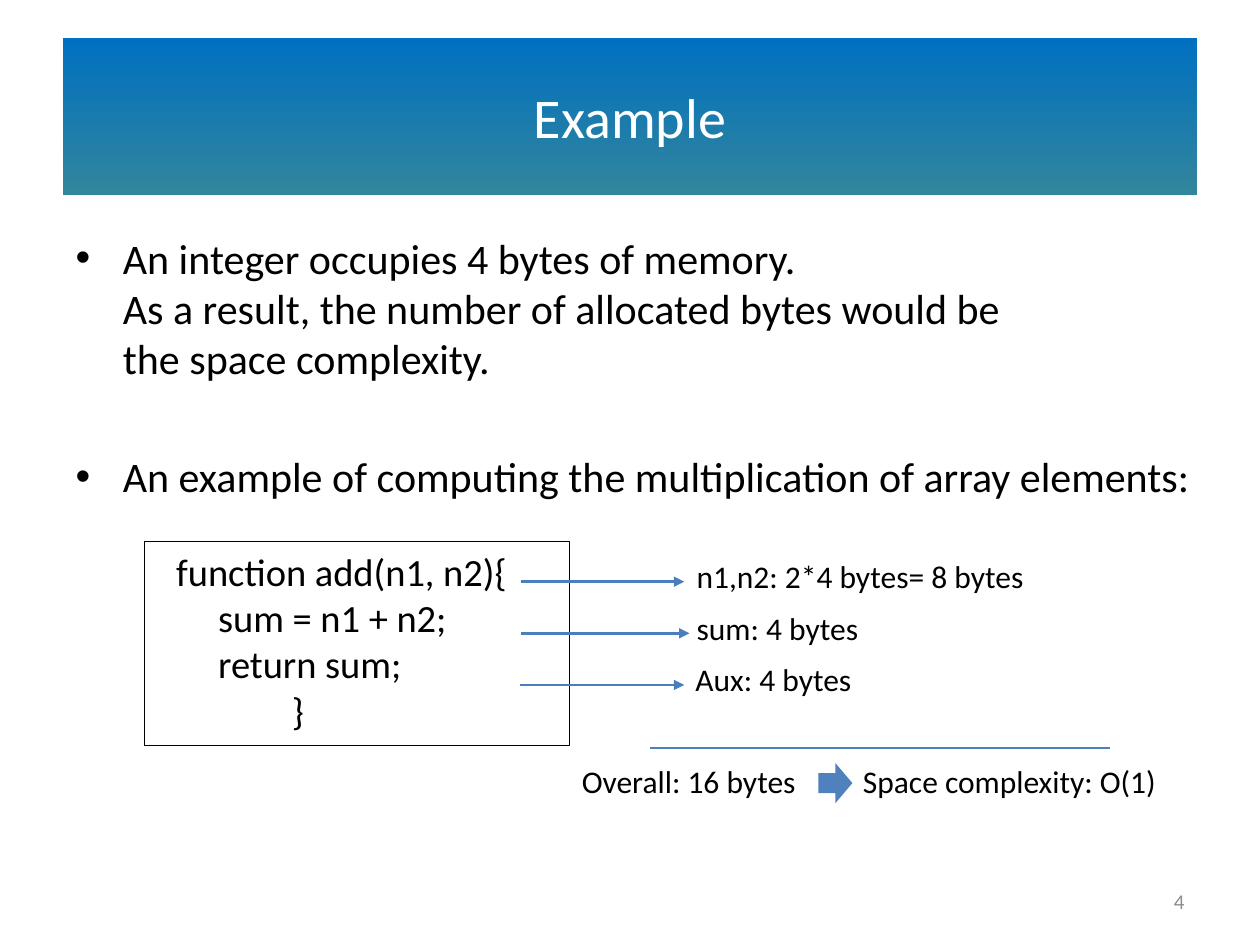
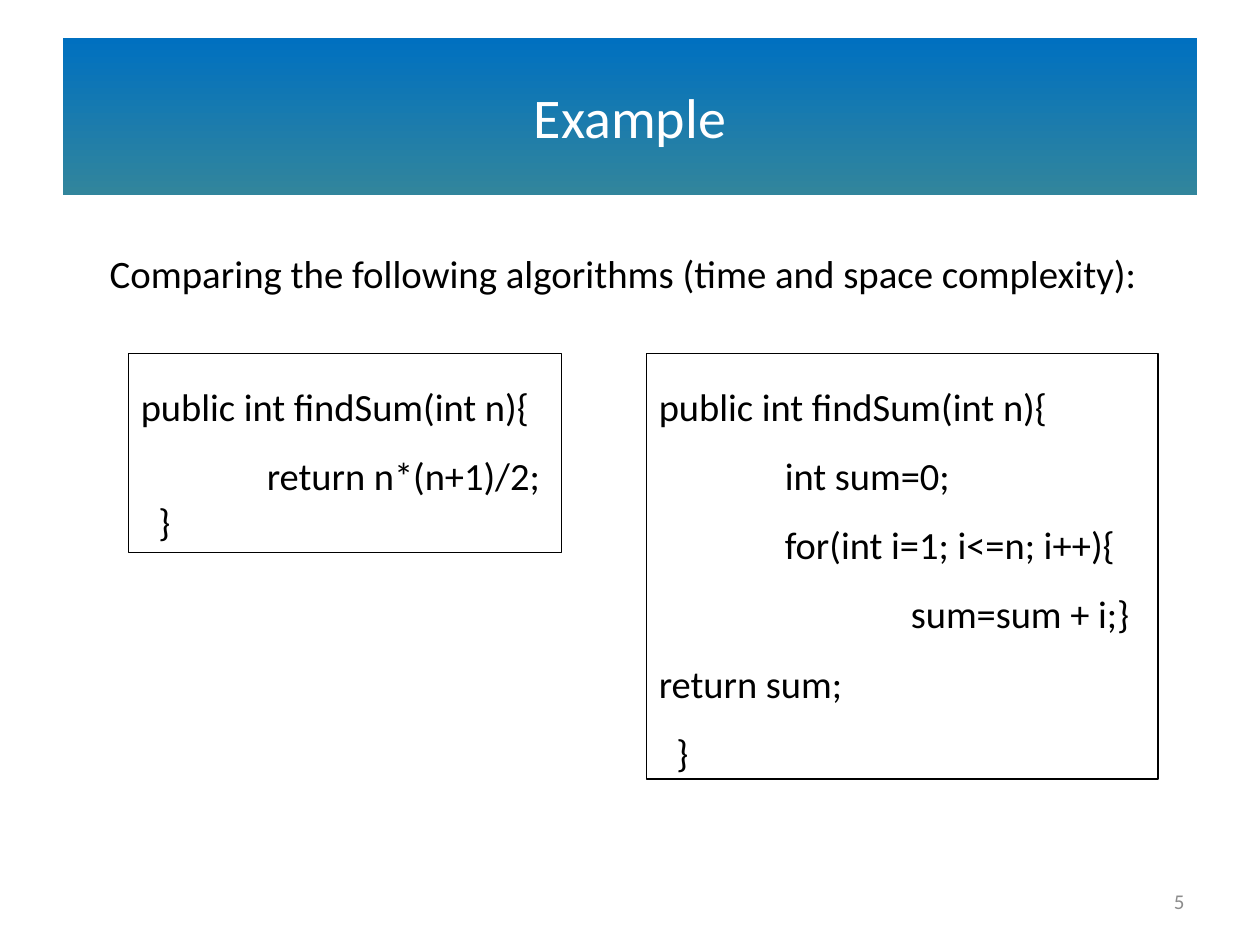
import pptx
import pptx.dml.color
import pptx.enum.shapes
import pptx.enum.text
import pptx.oxml
import pptx.oxml.ns
import pptx.util

Pt = pptx.util.Pt
ALIGN = pptx.enum.text.PP_ALIGN
ANCHOR = pptx.enum.text.MSO_ANCHOR
SHAPE = pptx.enum.shapes.MSO_SHAPE
CONNECTOR = pptx.enum.shapes.MSO_CONNECTOR

FONT = "Calibri"
COLORS = {
    "band_top": "0070C0",
    "band_bottom": "31859C",
    "title": "FFFFFF",
    "text": "000000",
    "number": "8C8C8C",
    "arrow": "4B7EBC",
    "block_arrow": "4F81BD",
}


def rgb(name):
    return pptx.dml.color.RGBColor.from_string(COLORS[name])


def write_text(shape, lines, size=18, color="text", align=ALIGN.LEFT,
               anchor=ANCHOR.TOP, line_spacing=1.0, space_before=0):
    """Write (text, left indent, first-line indent) lines, one per paragraph."""
    frame = shape.text_frame
    frame.word_wrap = True
    frame.auto_size = pptx.enum.text.MSO_AUTO_SIZE.NONE
    frame.vertical_anchor = anchor
    for index, (text, left, first) in enumerate(lines):
        paragraph = frame.paragraphs[0] if index == 0 else frame.add_paragraph()
        paragraph.text = text
        paragraph.alignment = align
        paragraph.line_spacing = line_spacing
        paragraph.space_before = Pt(space_before)
        properties = paragraph._p.get_or_add_pPr()
        properties.set("marL", str(Pt(left)))
        properties.set("indent", str(Pt(first)))
        for run in paragraph.runs:
            run.font.name = FONT
            run.font.size = Pt(size)
            run.font.color.rgb = rgb(color)
    return frame.paragraphs


presentation = pptx.Presentation()
presentation.slide_width = Pt(720)
presentation.slide_height = Pt(540)

# Shared title band and slide number
slides = []
for number in (4, 5):
    slide = presentation.slides.add_slide(presentation.slide_layouts[1])
    title = slide.shapes.title
    title.left, title.top, title.width, title.height = Pt(36), Pt(21.6), Pt(648), Pt(90)
    title.fill.gradient()
    title.fill.gradient_angle = 270
    stops = title.fill.gradient_stops
    for stop, position, color in zip(stops, (0, 0.99), ("band_top", "band_bottom")):
        stop.position = position
        stop.color.rgb = rgb(color)
    write_text(title, [("Example", 0, 0)], size=32, color="title",
               align=ALIGN.CENTER, anchor=ANCHOR.MIDDLE)
    number_box = slide.shapes.add_textbox(Pt(516), Pt(500.5), Pt(168), Pt(28.8))
    write_text(number_box, [(str(number), 0, 0)], size=12, color="number",
               align=ALIGN.RIGHT, anchor=ANCHOR.MIDDLE)
    slides.append(slide)
space_slide, compare_slide = slides

# Bulleted list on the space complexity slide
body = space_slide.placeholders[1]
body.left, body.top, body.width, body.height = Pt(36), Pt(129), Pt(672.5), Pt(356)
bullets = [
    "An integer occupies 4 bytes of memory.\v"
    "As a result, the number of allocated bytes would be\v"
    "the space complexity.",
    "An example of computing the multiplication of array elements:",
]
paragraphs = write_text(body, [(text, 27, -27) for text in bullets],
                        size=24, space_before=4.8)
paragraphs[1].space_before = Pt(38.5)

# Introduction on the comparison slide
body = compare_slide.placeholders[1]
body.left, body.top, body.width, body.height = Pt(55.5), Pt(126), Pt(628.5), Pt(70.5)
paragraphs = write_text(
    body, [("Comparing the following algorithms (time and space complexity):", 0, 0)],
    size=22.2, line_spacing=1.5, space_before=4.4)
paragraphs[0]._p.get_or_add_pPr().append(pptx.oxml.parse_xml(
    f"<a:buNone {pptx.oxml.ns.nsdecls('a')}/>"))

# Code boxes: slide, position and size, line spacing, lines with their indent
code_boxes = [
    (space_slide, (82.8, 309.6, 242.6, 116.6), 1.0, [
        ("function add(n1, n2){", 10.8), ("sum = n1 + n2;", 34.8),
        ("return sum;", 34.8), ("}", 77)]),
    (compare_slide, (73.4, 202, 247.7, 113.8), 1.5, [
        ("public int findSum(int n){", 0), ("return n*(n+1)/2;", 72), ("}", 10)]),
    (compare_slide, (369.4, 202, 292.3, 243.2), 1.5, [
        ("public int findSum(int n){", 0), ("int sum=0;", 72),
        ("for(int i=1; i<=n; i++){", 72), ("sum=sum + i;}", 144),
        ("return sum;", 0), ("}", 10)]),
]
code_paragraphs = []
for slide, box, spacing, code in code_boxes:
    shape = slide.shapes.add_shape(SHAPE.RECTANGLE, *map(Pt, box))
    shape.shadow.inherit = False
    shape.fill.background()
    shape.line.color.rgb = rgb("text")
    shape.line.width = Pt(0.75)
    code_paragraphs.append(write_text(
        shape, [(text, indent, 0) for text, indent in code],
        size=22, line_spacing=spacing))
code_paragraphs[0][0].space_before = Pt(2.4)
code_paragraphs[1][-1].line_spacing = 1.0

# Memory labels, then the total and its complexity
label_top, label_step = 314.7, 29.5
labels = [("n1,n2: 2*4 bytes= 8 bytes", 391), ("sum: 4 bytes", 391), ("Aux: 4 bytes", 390.3)]
boxes = [(text, left, label_top + row * label_step, 204)
         for row, (text, left) in enumerate(labels)]
boxes += [("Overall: 16 bytes", 325.4, 432, 144), ("Space complexity: O(1)", 486, 432, 190)]
for text, left, top, width in boxes:
    label = space_slide.shapes.add_textbox(Pt(left), Pt(top), Pt(width), Pt(29))
    write_text(label, [(text, 0, 0)])

# Arrows from code lines to labels, and the line above the total
arrow_ends = [(298, 391), (298, 394), (297.3, 391)]
lines = [(start, end, label_top + 17.7 + row * label_step, 1.5)
         for row, (start, end) in enumerate(arrow_ends)]
lines.append((371.5, 634.3, 427.5, 0.75))
for start, end, y, width in lines:
    connector = space_slide.shapes.add_connector(
        CONNECTOR.STRAIGHT, Pt(start), Pt(y), Pt(end), Pt(y))
    connector.line.color.rgb = rgb("arrow")
    connector.line.width = Pt(width)
    if width == 1.5:
        connector.line._get_or_add_ln().append(pptx.oxml.parse_xml(
            f"<a:tailEnd {pptx.oxml.ns.nsdecls('a')} type='triangle'/>"))
    connector._element.spPr.append(pptx.oxml.parse_xml(
        f"<a:effectLst {pptx.oxml.ns.nsdecls('a')}/>"))

# Block arrow between total and complexity
block_arrow = space_slide.shapes.add_shape(
    SHAPE.RIGHT_ARROW, Pt(467.6), Pt(436), Pt(19.5), Pt(23))
block_arrow.shadow.inherit = False
block_arrow.fill.solid()
block_arrow.fill.fore_color.rgb = rgb("block_arrow")
block_arrow.line.fill.background()

presentation.save("out.pptx")
